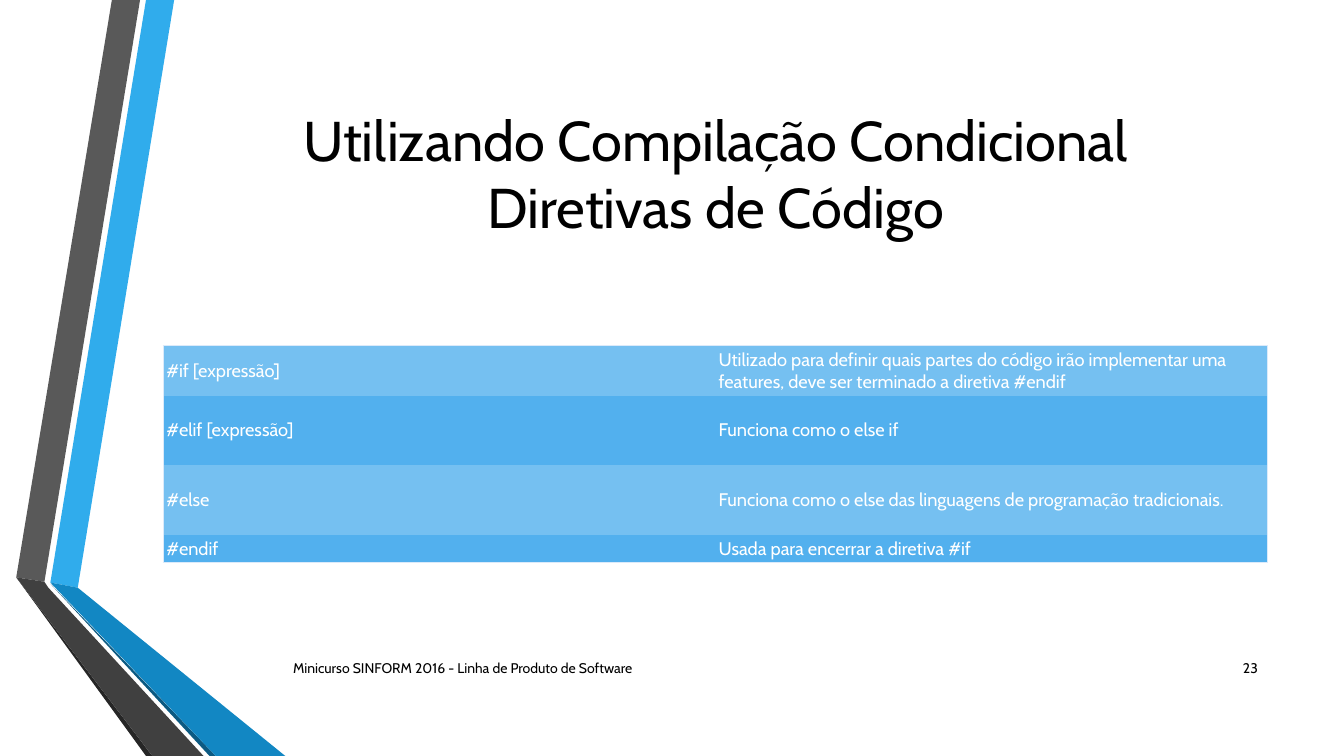
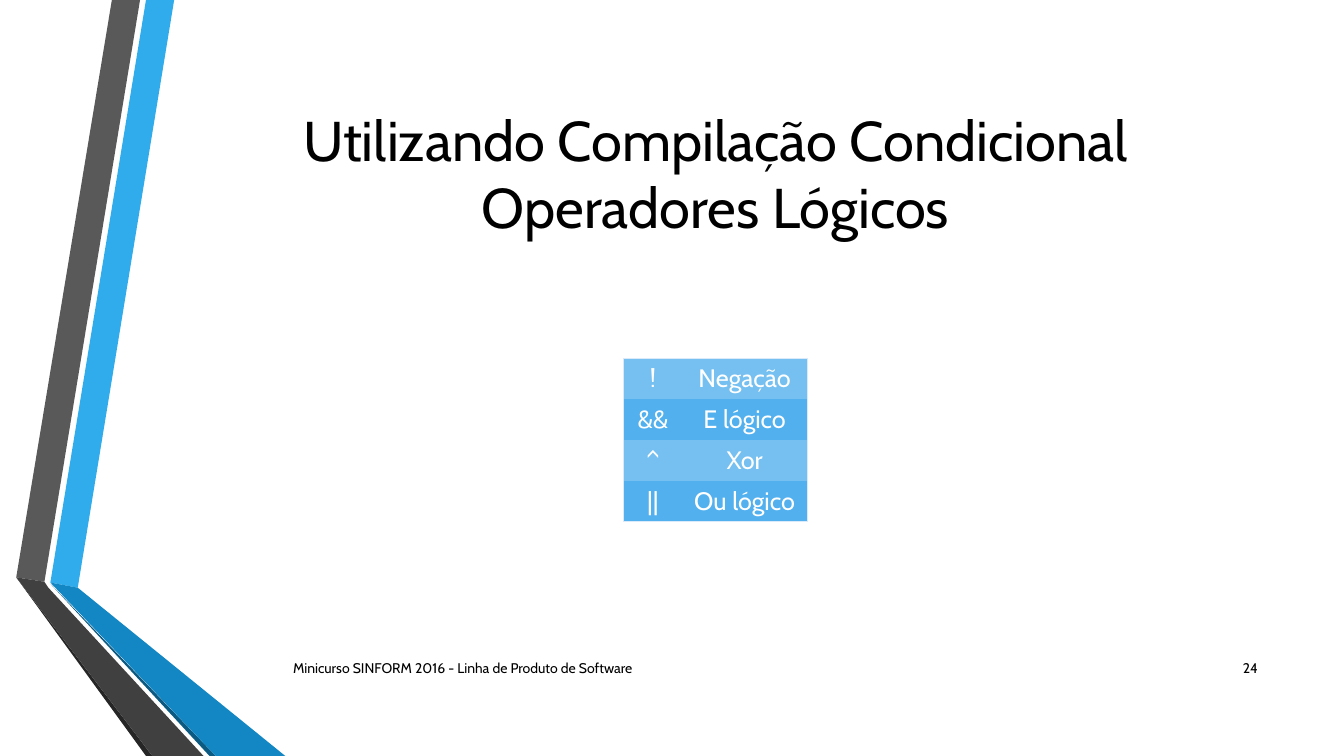
"""Build two slides on conditional compilation, each with a title, a table and a footer."""
from lxml import etree
from pptx import Presentation
from pptx import util as u
from pptx.dml.color import RGBColor
from pptx.enum import text
from pptx.oxml.ns import qn

FONT = "Cabin"
BLACK, WHITE, EDGE = "000000", "FFFFFF", "DBEAFA"
ROW_FILLS = ("75C0F1", "52B0EE")
NO_STYLE = "{2D5ABB26-0587-4C30-8999-92F81FD0307C}"
LEFT, CENTER, RIGHT = text.PP_ALIGN.LEFT, text.PP_ALIGN.CENTER, text.PP_ALIGN.RIGHT

TITLE = "Utilizando Compilação Condicional"
FOOTER = "Minicurso SINFORM 2016 - Linha de Produto de Software"
TITLE_BOX = (4.11, 1.9, 27.84, 4.88)
FOOTER_BOX = (7.14, 16.33, 19.69, 1.02)
NUMBER_BOX = (30.43, 16.31, 1.52, 1.02)

BANDS = [
    ("30ACEC", [(1.27, 14.68), (1.96, 14.81), (4.39, 0), (3.68, 0)]),
    ("595959", [(3.53, 0), (2.82, 0), (0.41, 14.55), (1.12, 14.66)]),
    ("262626", [(0.41, 14.55), (3.68, 19.05), (3.84, 19.05)]),
    ("0C5A82", [(1.27, 14.71), (5.28, 19.05), (5.44, 19.05)]),
    ("1287C3", [(1.27, 14.68), (5.44, 19.05), (7.19, 19.05), (1.96, 14.81)]),
    ("404040", [(5.13, 19.05), (1.22, 14.81), (1.12, 14.66), (0.41, 14.55), (3.84, 19.05)]),
]

SLIDES = [
    dict(
        number=23, subtitle="Diretivas de Código",
        at=(4.11, 8.71), cols=(13.92, 13.92), rows=(1.23, 1.75, 1.75, 0.69),
        size=13, align=LEFT, margins=(0.08, 0.08),
        cells=[
            ("#if [expressão]", "Utilizado para definir quais partes do código irão implementar "
                                "uma features, deve ser terminado a diretiva #endif"),
            ("#elif [expressão]", "Funciona como o else if"),
            ("#else", "Funciona como o else das linguagens de programação tradicionais."),
            ("#endif", "Usada para encerrar a diretiva #if"),
        ],
    ),
    dict(
        number=24, subtitle="Operadores Lógicos",
        at=(15.72, 9.02), cols=(1.47, 3.15), rows=(1.03,) * 4,
        size=18, align=CENTER, margins=(0.25, 0.13),
        cells=[("!", "Negação"), ("&&", "E lógico"), ("^", "Xor"), ("||", "Ou lógico")],
    ),
]


def paint(fill, color):
    """Give a fill one solid colour."""
    fill.solid()
    fill.fore_color.rgb = RGBColor.from_string(color)


def write(tf, words, size=10, color=BLACK, align=LEFT):
    """Put formatted words into a text frame."""
    tf.word_wrap = True
    p = tf.paragraphs[0]
    p.text = words
    p.alignment = align
    for r in p.runs:
        r.font.name, r.font.size = FONT, u.Pt(size)
        r.font.color.rgb = RGBColor.from_string(color)


def add_text(s, box, words, **style):
    """Add a vertically centred text box."""
    tf = s.shapes.add_textbox(*map(u.Cm, box)).text_frame
    tf.vertical_anchor = text.MSO_ANCHOR.MIDDLE
    write(tf, words, **style)


def add_bands(s):
    """Draw the folded ribbons on the left."""
    for color, points in BANDS:
        start, *rest = [(u.Cm(x), u.Cm(y)) for x, y in points]
        builder = s.shapes.build_freeform(*start)
        builder.add_line_segments(rest)
        sp = builder.convert_to_shape()
        sp.shadow.inherit = False
        sp.line.fill.background()
        paint(sp.fill, color)


def add_border(cell, side):
    """Draw a thin line on one side (L, R, T or B) of a cell."""
    ln = etree.SubElement(cell._tc.get_or_add_tcPr(), qn("a:ln" + side), w=str(u.Pt(0.75)))
    fill = etree.SubElement(ln, qn("a:solidFill"))
    etree.SubElement(fill, qn("a:srgbClr"), val=EDGE)


def add_grid(s, at, cols, rows, cells, size, align, margins):
    """Add a table with alternating row fills and an outer border."""
    box = (*at, sum(cols), sum(rows))
    table = s.shapes.add_table(len(rows), len(cols), *map(u.Cm, box)).table
    table.first_row = table.horz_banding = False
    table._tbl.tblPr.find(qn("a:tableStyleId")).text = NO_STYLE
    for col, width in zip(table.columns, cols):
        col.width = u.Cm(width)
    for i, height in enumerate(rows):
        table.rows[i].height = u.Cm(height)
        for j, words in enumerate(cells[i]):
            cell = table.cell(i, j)
            edges = {"L": j == 0, "R": j == len(cols) - 1, "T": i == 0, "B": i == len(rows) - 1}
            for side, outer in edges.items():
                if outer:
                    add_border(cell, side)
            paint(cell.fill, ROW_FILLS[i % 2])
            cell.margin_left = cell.margin_right = u.Cm(margins[0])
            cell.margin_top = cell.margin_bottom = u.Cm(margins[1])
            cell.vertical_anchor = text.MSO_ANCHOR.MIDDLE
            write(cell.text_frame, words, size=size, color=WHITE, align=align)


def add_slide(prs, number, subtitle, **grid):
    """Add one slide with bands, title, table and footer."""
    s = prs.slides.add_slide(prs.slide_layouts[6])
    paint(s.background.fill, WHITE)
    add_bands(s)
    add_text(s, TITLE_BOX, f"{TITLE}\v{subtitle}", size=40, align=CENTER)
    add_grid(s, **grid)
    add_text(s, FOOTER_BOX, FOOTER)
    add_text(s, NUMBER_BOX, str(number), align=RIGHT)


def main():
    """Build and save the presentation."""
    prs = Presentation()
    prs.slide_width, prs.slide_height = u.Cm(33.87), u.Cm(19.05)
    for slide in SLIDES:
        add_slide(prs, **slide)
    prs.save("out.pptx")


if __name__ == "__main__":
    main()
